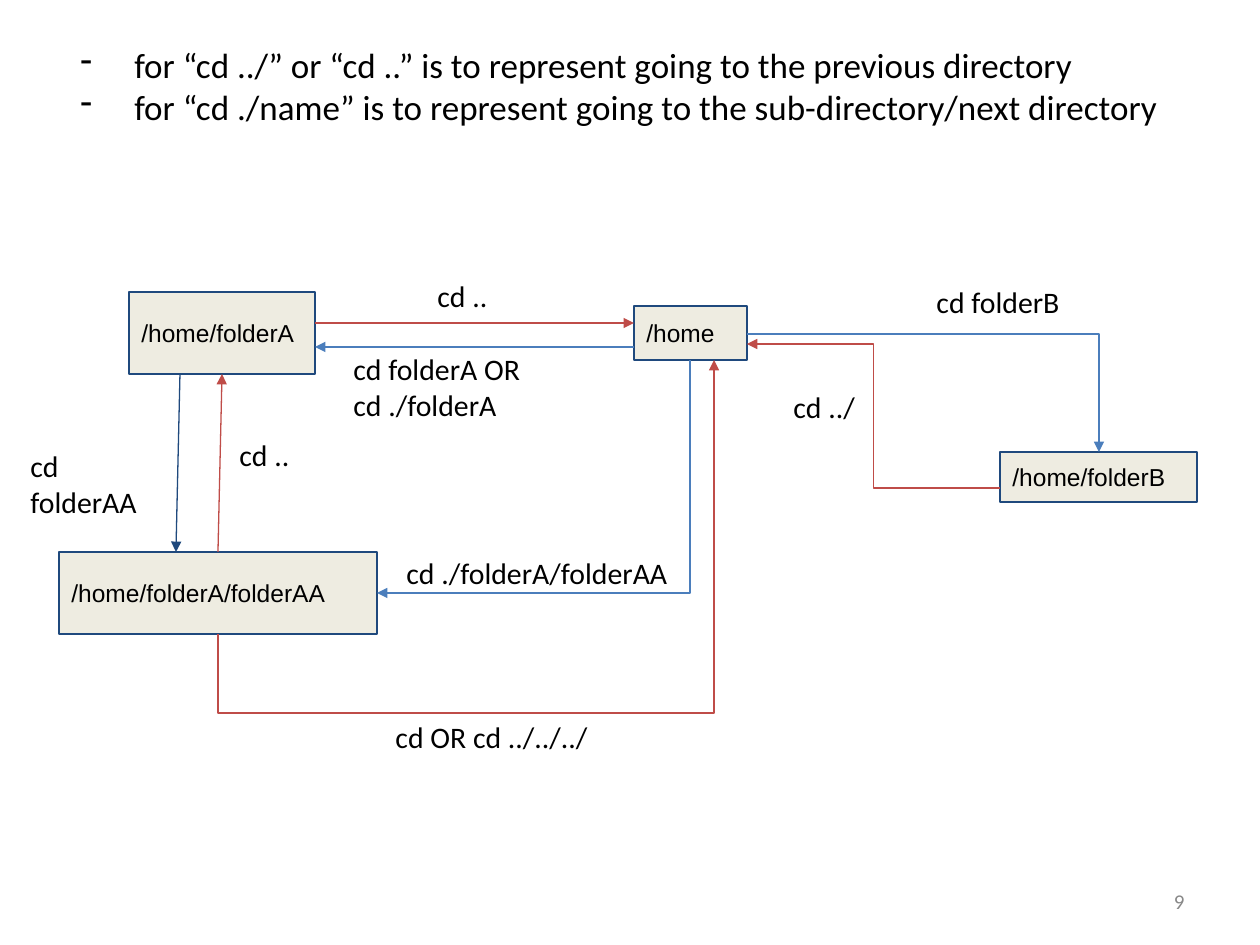
from lxml import etree
from pptx import Presentation
from pptx.dml.color import RGBColor
from pptx.enum.shapes import MSO_CONNECTOR, MSO_SHAPE
from pptx.enum.text import MSO_ANCHOR, PP_ALIGN
from pptx.oxml.ns import qn
from pptx.util import Pt

SCALE = 914400 / 126
RECT = MSO_SHAPE.RECTANGLE
LINE, ELBOW = MSO_CONNECTOR.STRAIGHT, MSO_CONNECTOR.ELBOW
TOP, MIDDLE = MSO_ANCHOR.TOP, MSO_ANCHOR.MIDDLE
LEFT, RIGHT = PP_ALIGN.LEFT, PP_ALIGN.RIGHT

BLACK = RGBColor(0x00, 0x00, 0x00)
GRAY = RGBColor(0x88, 0x88, 0x88)
CREAM = RGBColor(0xEE, 0xEC, 0xE1)
NAVY = RGBColor(0x1F, 0x49, 0x7D)
BLUE = RGBColor(0x4B, 0x7E, 0xBC)
RED = RGBColor(0xBF, 0x4C, 0x48)

NOTES = [
    "for “cd ../” or “cd ..” is to represent going to the previous directory",
    "for “cd ./name” is to represent going to the sub-directory/next directory",
]
NODES = [
    ("/home", (616, 34, 113, 54)),
    ("/home/folderA", (111, 20, 186, 82)),
    ("/home/folderB", (982, 180, 197, 50)),
    ("/home/folderA/folderAA", (41, 280, 318, 82)),
]
LABELS = [
    (["cd folderA OR", "cd ./folderA"], (323, 73, 228, 82)),
    (["cd ../"], (763, 111, 101, 50)),
    (["cd folderB"], (906, 6, 156, 50)),
    (["cd folderAA"], (0, 170, 134, 50)),
    (["cd ./folderA/folderAA"], (376, 277, 292, 50)),
    (["cd OR cd ../../../"], (365, 441, 247, 50)),
    (["cd .."], (209, 159, 82, 50)),
    (["cd .."], (407, 0, 82, 50)),
]
LINKS = [
    (NAVY, (162, 102), (158, 280), {"kind": LINE}),
    (RED, (200, 280), (204, 102), {"kind": LINE}),
    (RED, (297, 51), (616, 51), {"kind": LINE}),
    (BLUE, (729, 62), (1081, 180), {"form": "bentConnector2"}),
    (RED, (982, 216), (729, 72), {}),
    (BLUE, (616, 75), (297, 75), {}),
    (BLUE, (672, 88), (359, 321), {"form": "bentConnector2", "turn": True}),
    (RED, (200, 362), (696, 88),
     {"form": "bentConnector4", "turn": True, "bends": (-28900, 100000)}),
]


def emu(*sizes):
    """Turn pixels into EMU."""
    return [round(size * SCALE) for size in sizes]


def shift(box, part):
    """Place a part relative to the corner of a box."""
    return (box[0] + part[0], box[1] + part[1], *part[2:])


def apply(target, values):
    """Set each attribute named in a dict."""
    for name, value in values.items():
        setattr(target, name, value)


def write(shape, lines, size, font="Calibri", color=BLACK, align=LEFT, anchor=TOP):
    """Fill a shape with paragraphs of one style."""
    frame = shape.text_frame
    apply(frame, {"word_wrap": True, "vertical_anchor": anchor})
    frame.text = "\n".join(lines)
    for para in frame.paragraphs:
        para.alignment = align
        face = para.runs[0].font
        apply(face, {"name": font, "size": Pt(size)})
        face.color.rgb = color
    return frame


def label(slide, box, lines, size, **style):
    """Add a text box."""
    return write(slide.shapes.add_textbox(*emu(*box)), lines, size, **style)


def notes(slide, box):
    """Add the dashed list at the top."""
    for para in label(slide, box, NOTES, 20).paragraphs:
        props = para._p.get_or_add_pPr()
        props.set("marL", str(emu(63)[0]))
        props.set("indent", str(emu(-54)[0]))
        tint = etree.SubElement(props, qn("a:buClr"))
        etree.SubElement(tint, qn("a:srgbClr")).set("val", str(BLACK))
        etree.SubElement(props, qn("a:buChar")).set("char", "-")


def node(slide, box, name):
    """Add a directory box."""
    shape = slide.shapes.add_shape(RECT, *emu(*box))
    shape.shadow.inherit = False
    shape.fill.solid()
    shape.fill.fore_color.rgb = CREAM
    shape.line.color.rgb = NAVY
    shape.line.width = Pt(0.75)
    frame = write(shape, [name], 14, font="Arial", anchor=MIDDLE)
    pad = emu(12.6)[0]
    sides = ("left", "top", "right", "bottom")
    apply(frame, {f"margin_{side}": pad for side in sides})


def spin(start, end):
    """Turn two points a quarter back around their middle."""
    mx, my = (start[0] + end[0]) / 2, (start[1] + end[1]) / 2
    return [(mx + y - my, my - x + mx) for x, y in (start, end)]


def link(slide, color, start, end, kind=ELBOW, form=None, turn=False, bends=()):
    """Add an arrow between two points."""
    if turn:
        start, end = spin(start, end)
    arrow = slide.shapes.add_connector(kind, *emu(*start, *end))
    arrow.line.color.rgb = color
    arrow.line.width = Pt(0.75)
    props = arrow._element.spPr
    if turn:
        props.find(qn("a:xfrm")).set("rot", "5400000")
    shape = props.find(qn("a:prstGeom"))
    if form:
        shape.set("prst", form)
    for step, bend in enumerate(bends, 1):
        guide = etree.SubElement(shape.find(qn("a:avLst")), qn("a:gd"))
        guide.set("name", f"adj{step}")
        guide.set("fmla", f"val {bend}")
    tip = etree.SubElement(props.find(qn("a:ln")), qn("a:tailEnd"))
    tip.set("type", "triangle")
    etree.SubElement(props, qn("a:effectLst"))


def tree(slide, box):
    """Add the directory map with its arrows and commands."""
    for name, part in NODES:
        node(slide, shift(box, part), name)
    for color, start, end, style in LINKS:
        link(slide, color, shift(box, start), shift(box, end), **style)
    for lines, part in LABELS:
        label(slide, shift(box, part), lines, 17)


def number(slide, box):
    """Add the page number."""
    label(slide, box, ["9"], 12, color=GRAY, align=RIGHT, anchor=MIDDLE)


def main():
    """Build and save the slide."""
    deck = Presentation()
    deck.slide_width, deck.slide_height = emu(1260, 945)
    slide = deck.slides.add_slide(deck.slide_layouts[6])
    notes(slide, (59, 37, 1148, 123))
    tree(slide, (18, 272, 1180, 491))
    number(slide, (903, 876, 294, 50))
    deck.save("out.pptx")


main()
